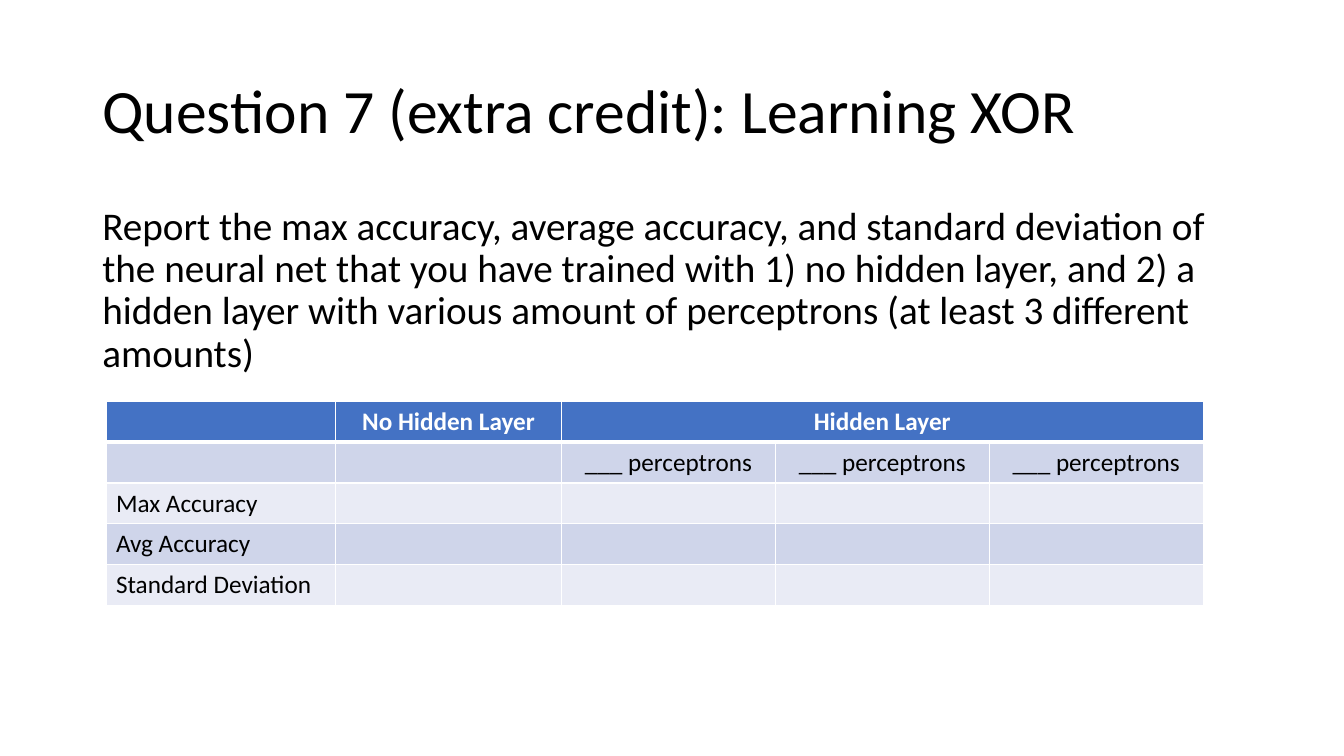
import dataclasses

import lxml.etree
import pptx
import pptx.dml.color
import pptx.enum.text
import pptx.oxml.ns
import pptx.table
import pptx.text.text
import pptx.util
from pptx.util import Cm

FONT = "Calibri"
BLACK, WHITE = "000000", "FFFFFF"
HEADER_FILL = "4472C4"
BAND_FILLS = ("E9EBF5", "CFD5EA")
CONTENT_LEFT, CONTENT_WIDTH = Cm(2.33), Cm(29.21)
COLUMN_WIDTHS = (5.79, 5.69, 5.39, 5.39, 5.39)
ROW_HEIGHT = 1.03
TABLE_ROWS = (
    ("", "No Hidden Layer", "Hidden Layer", "", ""),
    ("", "", *["___ perceptrons"] * 3),
    ("Max Accuracy", "", "", "", ""),
    ("Avg Accuracy", "", "", "", ""),
    ("Standard Deviation", "", "", "", ""),
)


@dataclasses.dataclass(frozen=True)
class TextStyle:
    size: float
    color: str = BLACK
    bold: bool = False
    alignment: pptx.enum.text.PP_ALIGN = pptx.enum.text.PP_ALIGN.LEFT
    line_spacing: float = 1.0
    space_before: float = 0


def rgb(color: str) -> pptx.dml.color.RGBColor:
    return pptx.dml.color.RGBColor.from_string(color)


def write_text(frame: pptx.text.text.TextFrame, text: str, style: TextStyle) -> None:
    frame.text = text
    paragraph = frame.paragraphs[0]
    paragraph.alignment = style.alignment
    paragraph.line_spacing = style.line_spacing
    paragraph.space_before = pptx.util.Pt(style.space_before)
    paragraph.font.name = FONT
    paragraph.font.size = pptx.util.Pt(style.size)
    paragraph.font.bold = style.bold
    paragraph.font.color.rgb = rgb(style.color)


def set_border(cell: pptx.table._Cell, side: str, width: float) -> None:
    """Draw a white line on one side (L, R, T or B); call before filling the cell."""
    qn = pptx.oxml.ns.qn
    properties = cell._tc.get_or_add_tcPr()
    line = lxml.etree.SubElement(properties, qn(f"a:ln{side}"), w=str(pptx.util.Pt(width)))
    fill = lxml.etree.SubElement(line, qn("a:solidFill"))
    lxml.etree.SubElement(fill, qn("a:srgbClr"), val=WHITE)


def format_cell(cell: pptx.table._Cell, row: int, column: int, text: str) -> None:
    is_header = row == 0
    borders = {"L": 1, "R": 1, "T": 3 if row == 1 else 1, "B": 3 if is_header else 1}
    for side, width in borders.items():
        set_border(cell, side, width)
    cell.fill.solid()
    cell.fill.fore_color.rgb = rgb(HEADER_FILL if is_header else BAND_FILLS[row % 2])
    align = pptx.enum.text.PP_ALIGN
    style = TextStyle(
        18,
        color=WHITE if is_header else BLACK,
        bold=is_header,
        alignment=align.LEFT if column == 0 else align.CENTER,
    )
    write_text(cell.text_frame, text, style)


def add_accuracy_table(slide: pptx.slide.Slide) -> None:
    frame = slide.shapes.add_table(
        len(TABLE_ROWS), len(COLUMN_WIDTHS), Cm(2.67), Cm(10.11),
        Cm(sum(COLUMN_WIDTHS)), Cm(ROW_HEIGHT * len(TABLE_ROWS)),
    )
    table = frame.table
    for column, width in zip(table.columns, COLUMN_WIDTHS):
        column.width = Cm(width)
    for row_index, texts in enumerate(TABLE_ROWS):
        table.rows[row_index].height = Cm(ROW_HEIGHT)
        for column_index, text in enumerate(texts):
            format_cell(table.cell(row_index, column_index), row_index, column_index, text)
    table.cell(0, 2).merge(table.cell(0, 4))


def main() -> None:
    presentation = pptx.Presentation()
    presentation.slide_width, presentation.slide_height = Cm(33.87), Cm(19.05)
    slide = presentation.slides.add_slide(presentation.slide_layouts[5])

    title = slide.shapes.title
    title.left, title.top, title.width, title.height = CONTENT_LEFT, Cm(1.01), CONTENT_WIDTH, Cm(3.68)
    title.text_frame.auto_size = pptx.enum.text.MSO_AUTO_SIZE.NONE
    title.text_frame.vertical_anchor = pptx.enum.text.MSO_ANCHOR.MIDDLE
    write_text(
        title.text_frame,
        "Question 7 (extra credit): Learning XOR",
        TextStyle(44, line_spacing=0.9),
    )

    task = slide.shapes.add_textbox(CONTENT_LEFT, Cm(5.07), CONTENT_WIDTH, Cm(12.09))
    task.text_frame.word_wrap = True
    write_text(
        task.text_frame,
        "Report the max accuracy, average accuracy, and standard deviation of the neural net "
        "that you have trained with 1) no hidden layer, and 2) a hidden layer with various "
        "amount of perceptrons (at least 3 different amounts)",
        TextStyle(28, line_spacing=0.9, space_before=10),
    )

    add_accuracy_table(slide)
    presentation.save("out.pptx")


if __name__ == "__main__":
    main()
